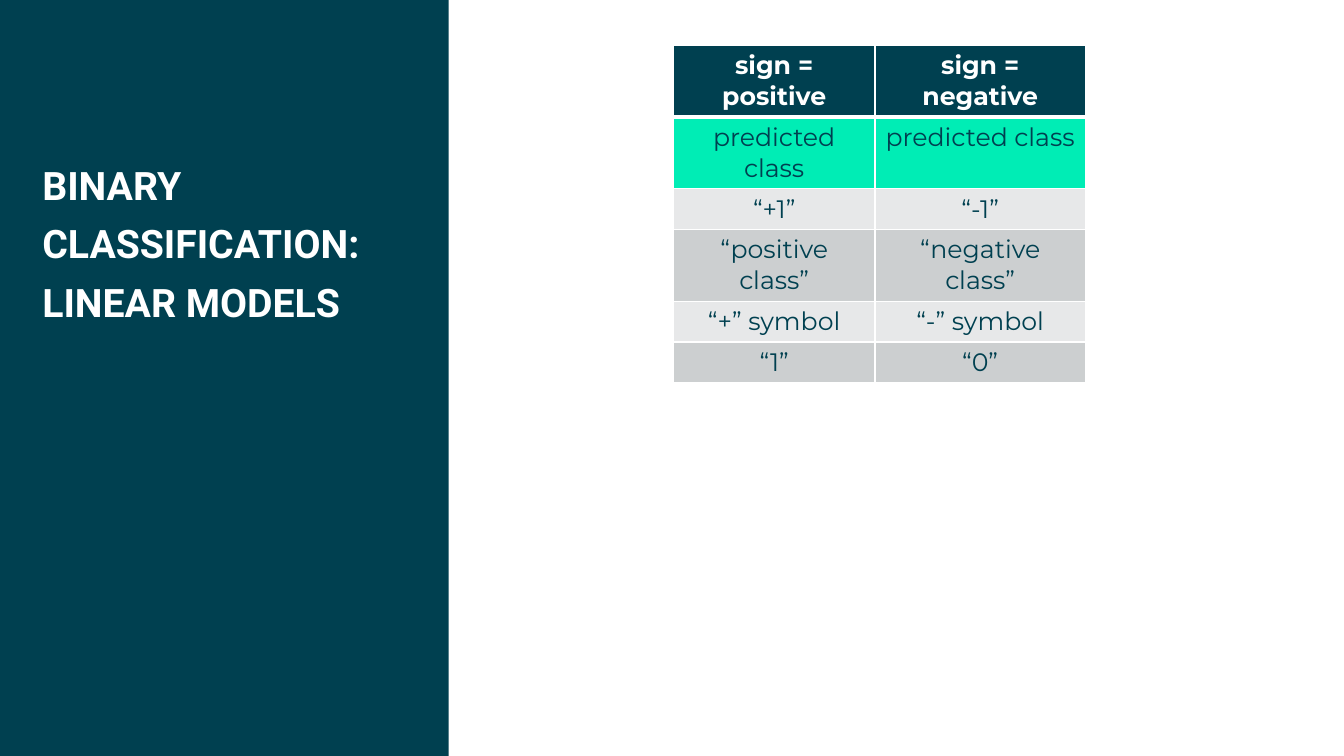
from lxml import etree
from pptx import Presentation
from pptx.dml.color import RGBColor
from pptx.enum import shapes, text
from pptx.oxml.ns import qn
from pptx.util import Pt

TITLE = "BINARY CLASSIFICATION:\vLINEAR MODELS"
ROWS = [
    ("sign = positive", "sign = negative"),
    ("predicted class", "predicted class"),
    ("“+1”", "“-1”"),
    ("“positive class”", "“negative class”"),
    ("“+” symbol", "“-” symbol"),
    ("“1”", "“0”"),
]

THEME = {
    "teal": RGBColor.from_string("004050"),
    "mint": RGBColor.from_string("00EDB5"),
    "white": RGBColor.from_string("FFFFFF"),
    "bands": [RGBColor.from_string(code) for code in ("E7E8E9", "CCCFD0")],
    "title_font": {"name": "Roboto", "size": Pt(28), "bold": True},
    "table_font": {"name": "Montserrat", "size": Pt(18)},
}

SLIDE_WIDTH, SLIDE_HEIGHT = 960, 540
PANEL_WIDTH = 320.4
TITLE_BOX = (30.24, 106.56, 271.44, 54)
TITLE_LINE = 42
TABLE_LEFT, TABLE_TOP = 481, 32.4
COLUMN_WIDTHS = (144, 150.3)
ROW_HEIGHT = 29.2
THIN, THICK = 1, 3


def format_font(font, color, **values):
    for name, value in values.items():
        setattr(font, name, value)
    font.color.rgb = color


def row_fill(row):
    if row < 2:
        return (THEME["teal"], THEME["mint"])[row]
    return THEME["bands"][row % 2]


def add_borders(cell, row):
    """Draw white cell borders, thick where the header meets the body."""
    widths = {
        "a:lnL": THIN,
        "a:lnR": THIN,
        "a:lnT": THICK if row == 1 else THIN,
        "a:lnB": THICK if row == 0 else THIN,
    }
    properties = cell._tc.get_or_add_tcPr()
    for position, (tag, width) in enumerate(widths.items()):
        line = etree.Element(qn(tag), w=str(Pt(width)))
        fill = etree.SubElement(line, qn("a:solidFill"))
        etree.SubElement(fill, qn("a:srgbClr"), val=str(THEME["white"]))
        properties.insert(position, line)


def add_title(slide):
    title = slide.shapes.title
    title.left, title.top, title.width, title.height = map(Pt, TITLE_BOX)
    frame = title.text_frame
    frame.text = TITLE
    frame_format = {
        "margin_left": 0, "margin_top": 0, "margin_right": 0, "margin_bottom": 0,
        "word_wrap": True,
        "auto_size": text.MSO_AUTO_SIZE.NONE,
        "vertical_anchor": text.MSO_ANCHOR.TOP,
    }
    for name, value in frame_format.items():
        setattr(frame, name, value)
    paragraph = frame.paragraphs[0]
    paragraph.alignment = text.PP_ALIGN.LEFT
    paragraph.line_spacing = Pt(TITLE_LINE)
    for run in paragraph.runs:
        format_font(run.font, THEME["white"], **THEME["title_font"])


def add_panel(slide):
    """Add the side panel behind the title."""
    panel = slide.shapes.add_shape(
        shapes.MSO_SHAPE.RECTANGLE, 0, 0, Pt(PANEL_WIDTH), Pt(SLIDE_HEIGHT))
    panel.shadow.inherit = False
    panel.fill.solid()
    panel.fill.fore_color.rgb = THEME["teal"]
    panel.line.fill.background()
    slide.shapes.title.element.addprevious(panel.element)


def add_sign_table(slide):
    table = slide.shapes.add_table(
        len(ROWS), len(COLUMN_WIDTHS), Pt(TABLE_LEFT), Pt(TABLE_TOP),
        Pt(sum(COLUMN_WIDTHS)), Pt(ROW_HEIGHT * len(ROWS))).table
    for column, width in zip(table.columns, COLUMN_WIDTHS):
        column.width = Pt(width)
    for row, labels in enumerate(ROWS):
        table.rows[row].height = Pt(ROW_HEIGHT)
        is_header = row == 0
        for column, label in enumerate(labels):
            cell = table.cell(row, column)
            cell.text = label
            cell.fill.solid()
            cell.fill.fore_color.rgb = row_fill(row)
            add_borders(cell, row)
            paragraph = cell.text_frame.paragraphs[0]
            paragraph.alignment = text.PP_ALIGN.CENTER
            color = THEME["white" if is_header else "teal"]
            format_font(paragraph.runs[0].font, color,
                        bold=is_header, **THEME["table_font"])


def main():
    presentation = Presentation()
    presentation.slide_width = Pt(SLIDE_WIDTH)
    presentation.slide_height = Pt(SLIDE_HEIGHT)
    slide = presentation.slides.add_slide(presentation.slide_layouts[5])
    add_title(slide)
    add_panel(slide)
    add_sign_table(slide)
    presentation.save("out.pptx")


if __name__ == "__main__":
    main()
